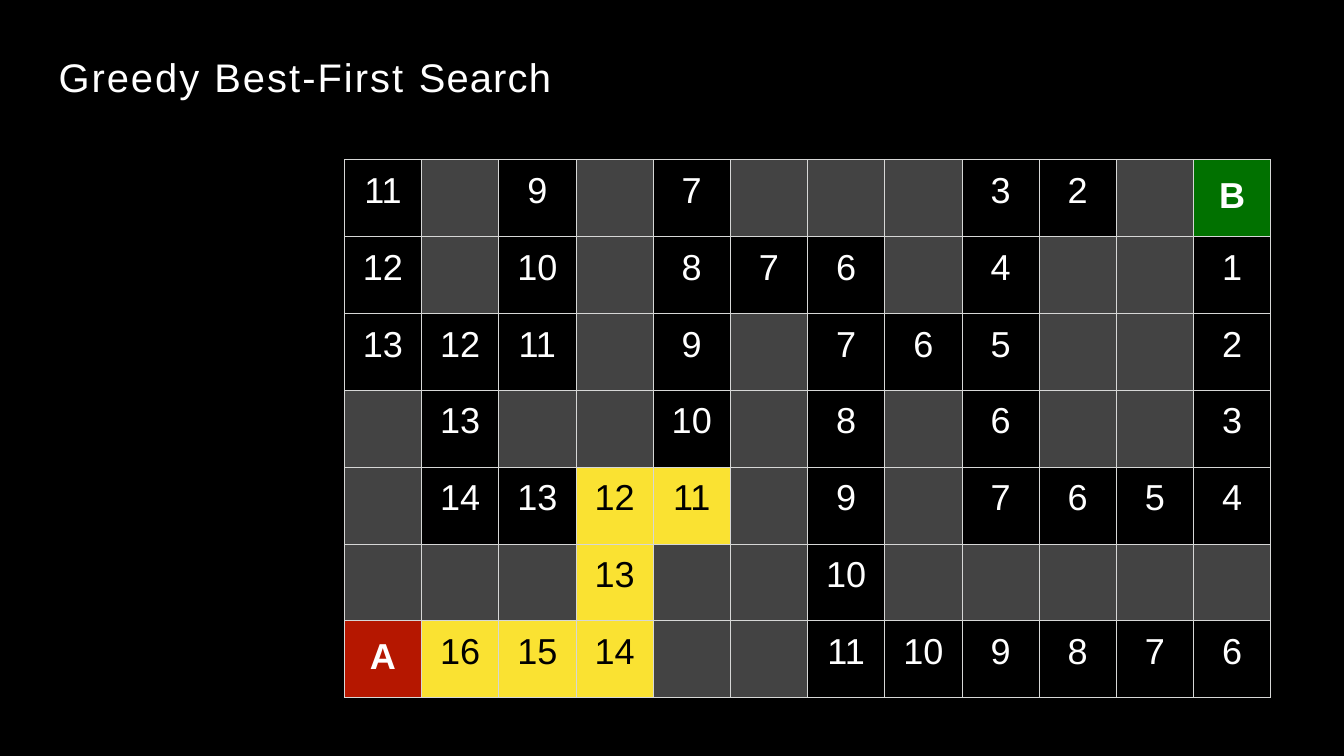
from lxml import etree
from pptx import Presentation
from pptx import util as u
from pptx.dml.color import RGBColor
from pptx.enum import text
from pptx.oxml.ns import qn

BLACK = RGBColor(0x00, 0x00, 0x00)
WHITE = RGBColor(0xFF, 0xFF, 0xFF)
WALL = RGBColor(0x43, 0x43, 0x43)
EXPLORED = RGBColor(0xFA, 0xE2, 0x32)
START = RGBColor(0xB5, 0x17, 0x00)
GOAL = RGBColor(0x01, 0x71, 0x00)
RULE = RGBColor(0xD6, 0xD7, 0xD6)

COL, ROW = 15.16 / 12, 8.8 / 7
TITLE_RUNS = [("Greedy ", 2.3), ("Best-First ", 2.4), ("Search", 1.4)]
MAZE = [line.split() for line in (
    "11  #   9   #   7   #   #   #   3   2   #   B",
    "12  #   10  #   8   7   6   #   4   #   #   1",
    "13  12  11  #   9   #   7   6   5   #   #   2",
    "#   13  #   #   10  #   8   #   6   #   #   3",
    "#   14  13  *12 *11 #   9   #   7   6   5   4",
    "#   #   #   *13 #   #   10  #   #   #   #   #",
    "A   *16 *15 *14 #   #   11  10  9   8   7   6",
)]
CELL_STYLES = {
    "#": dict(fill=WALL, color=WHITE, bold=False, top=0.18),
    "*": dict(fill=EXPLORED, color=BLACK, bold=False, top=0.18),
    "A": dict(fill=START, color=WHITE, bold=True, top=0.26),
    "B": dict(fill=GOAL, color=WHITE, bold=True, top=0.26),
}
OPEN_STYLE = dict(fill=BLACK, color=WHITE, bold=False, top=0.18)


def apply(target, **values):
    for name, value in values.items():
        setattr(target, name, value)


class MazeSlide:
    """Draws a dark slide whose lengths are counted in maze columns and rows."""

    def __init__(self, prs):
        self.s = prs.slides.add_slide(prs.slide_layouts[5])
        fill = self.s.background.fill
        fill.solid()
        fill.fore_color.rgb = BLACK

    def box(self, left, top, width, height):
        return dict(left=u.Inches(left * COL), top=u.Inches(top * ROW),
                    width=u.Inches(width * COL), height=u.Inches(height * ROW))

    def run(self, p, words, size, color, bold=False, spacing=0):
        r = p.add_run()
        r.text = words
        apply(r.font, name="Arial", size=u.Pt(size), bold=bold)
        r.font.color.rgb = color
        if spacing:
            r._r.get_or_add_rPr().set("spc", str(round(spacing * 100)))

    def title(self, runs, *area):
        sp = self.s.shapes.title
        apply(sp, **self.box(*area))
        tf = sp.text_frame
        apply(tf, margin_left=0, margin_top=u.Inches(0.01), margin_right=0,
              margin_bottom=0, word_wrap=True,
              vertical_anchor=text.MSO_ANCHOR.TOP,
              auto_size=text.MSO_AUTO_SIZE.SHAPE_TO_FIT_TEXT)
        p = tf.paragraphs[0]
        p.alignment = text.PP_ALIGN.LEFT
        for words, spacing in runs:
            self.run(p, words, 47, WHITE, spacing=spacing)

    def border(self, cell):
        tcPr = cell._tc.get_or_add_tcPr()
        for i, side in enumerate(("a:lnL", "a:lnR", "a:lnT", "a:lnB")):
            ln = etree.Element(qn(side), w=str(u.Pt(1)))
            fill = etree.SubElement(ln, qn("a:solidFill"))
            etree.SubElement(fill, qn("a:srgbClr"), val=str(RULE))
            tcPr.insert(i, ln)

    def cell(self, cell, mark):
        style = CELL_STYLES.get(mark[0], OPEN_STYLE)
        cell.fill.solid()
        cell.fill.fore_color.rgb = style["fill"]
        apply(cell, margin_left=0, margin_top=u.Inches(style["top"]),
              margin_right=0, margin_bottom=0)
        self.border(cell)
        label = mark.strip("#*")
        if label:
            p = cell.text_frame.paragraphs[0]
            p.alignment = text.PP_ALIGN.CENTER
            self.run(p, label, 42.5, style["color"], style["bold"])

    def maze(self, rows, left, top):
        n_rows, n_cols = len(rows), len(rows[0])
        area = self.box(left, top, n_cols, n_rows)
        table = self.s.shapes.add_table(n_rows, n_cols, **area).table
        apply(table, first_row=False, horz_banding=False)
        for i, row in enumerate(rows):
            for j, mark in enumerate(row):
                self.cell(table.cell(i, j), mark)


def main():
    prs = Presentation()
    apply(prs, slide_width=u.Inches(21.99), slide_height=u.Inches(12.37))
    slide = MazeSlide(prs)
    slide.title(TITLE_RUNS, 0.76, 0.68, 6.39, 0.64)
    slide.maze(MAZE, 4.46, 2.08)
    prs.save("out.pptx")


if __name__ == "__main__":
    main()
